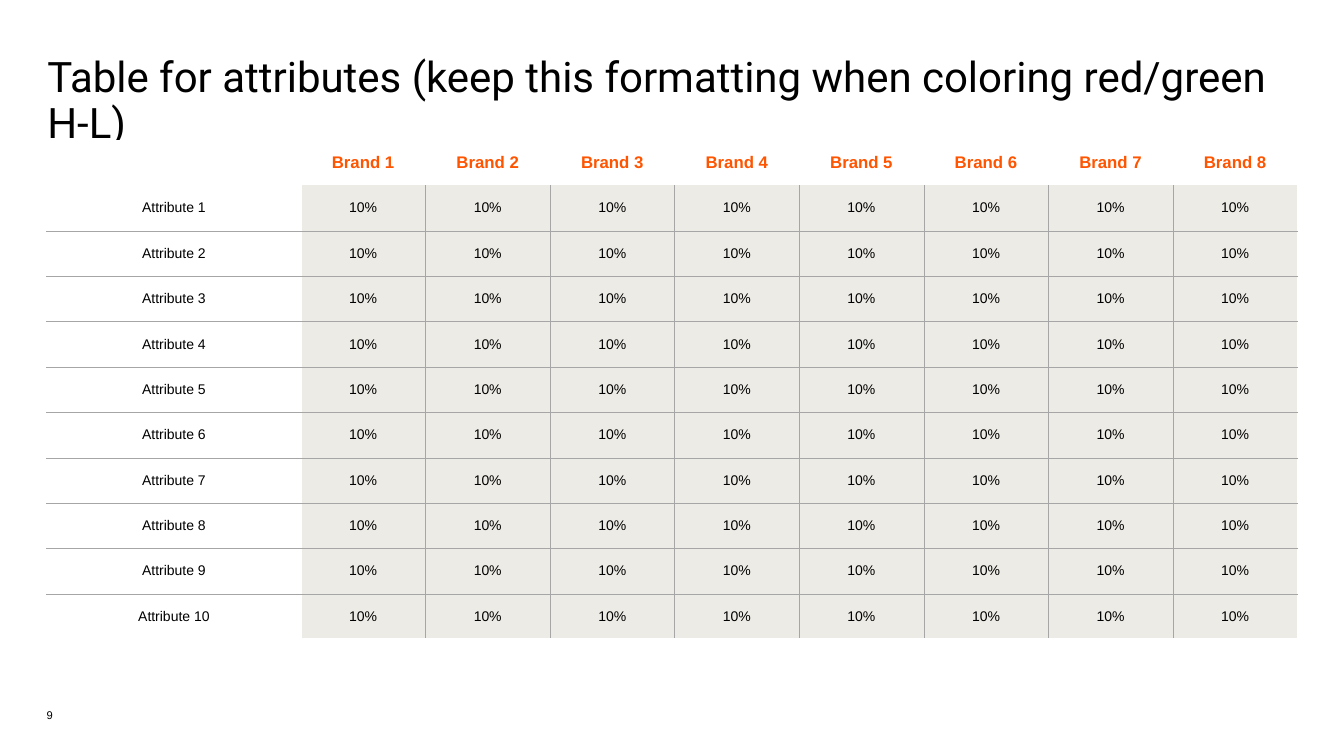
from lxml.etree import SubElement as Sub
from pptx import Presentation
from pptx.dml.color import RGBColor
from pptx.enum.text import MSO_ANCHOR as Anchor, MSO_AUTO_SIZE as Fit, PP_ALIGN as Align
from pptx.oxml.ns import qn
from pptx.util import Pt

BLACK = RGBColor(0x00, 0x00, 0x00)
WHITE = RGBColor(0xFF, 0xFF, 0xFF)
ORANGE = RGBColor(0xFF, 0x54, 0x00)
SAND = RGBColor(0xED, 0xEB, 0xE5)
GRAY = RGBColor(0xA6, 0xA6, 0xA6)

BRANDS = [f"Brand {n}" for n in range(1, 9)]
ROWS = [[f"Attribute {n}"] + ["10%"] * len(BRANDS) for n in range(1, 11)]
LABEL_W, BRAND_W, ROW_H = 181.4, 89, 32.4
PLAIN_STYLE = "{2D5ABB26-0587-4C30-8999-92F81FD0307C}"


def write(frame, text, size, font="Arial", color=BLACK, bold=False,
          align=Align.LEFT, space=None):
    para = frame.paragraphs[0]
    para.alignment = align
    para.line_spacing = space
    run = para.add_run()
    run.text = text
    run.font.name = font
    run.font.size = Pt(size)
    run.font.bold = bold
    run.font.color.rgb = color


def trim(item):
    """Set all four insets of a frame or cell to zero."""
    item.margin_left = item.margin_right = Pt(0)
    item.margin_top = item.margin_bottom = Pt(0)


def edge(cell, side, color, width):
    props = cell._tc.get_or_add_tcPr()
    line = Sub(props, qn(f"a:ln{side}"), w=str(Pt(width)))
    fill = Sub(line, qn("a:solidFill"))
    Sub(fill, qn("a:srgbClr"), val=str(color))


def frame_cell(cell, row, col):
    """Gray rules inside the body, white ones around it."""
    label, last = col == 0, col == len(BRANDS)
    edge(cell, "L", WHITE if col < 2 else GRAY, 1 if label else 0.25)
    edge(cell, "R", WHITE if label or last else GRAY, 1 if last else 0.25)
    if row > 1:
        edge(cell, "T", GRAY, 0.25)
    end = row == len(ROWS)
    edge(cell, "B", WHITE if end else GRAY, 1 if end else 0.25)


def add_title(slide, text):
    title = slide.shapes.title
    title.left, title.top = Pt(33.8), Pt(40.3)
    title.width, title.height = Pt(893), Pt(34.6)
    frame = title.text_frame
    trim(frame)
    frame.word_wrap = True
    frame.auto_size = Fit.NONE
    frame.vertical_anchor = Anchor.TOP
    write(frame, text, 30, font="Roboto", space=0.9)


def add_grid(slide):
    data = [[""] + BRANDS] + ROWS
    width = LABEL_W + BRAND_W * len(BRANDS)
    shape = slide.shapes.add_table(len(data), len(data[0]), Pt(33.5), Pt(100.1),
                                   Pt(width), Pt(ROW_H * len(data)))
    table = shape.table
    table.first_row = table.horz_banding = False
    table._tbl.tblPr.find(qn("a:tableStyleId")).text = PLAIN_STYLE
    for col, column in enumerate(table.columns):
        column.width = Pt(BRAND_W if col else LABEL_W)
    for row, texts in enumerate(data):
        table.rows[row].height = Pt(ROW_H)
        for col, text in enumerate(texts):
            cell = table.cell(row, col)
            trim(cell)
            cell.vertical_anchor = Anchor.MIDDLE
            if row:
                frame_cell(cell, row, col)
            cell.fill.solid()
            cell.fill.fore_color.rgb = SAND if row and col else WHITE
            if text:
                write(cell.text_frame, text, 10 if row else 12, bold=not row,
                      color=BLACK if row else ORANGE, align=Align.CENTER)


def add_number(slide, text):
    box = slide.shapes.add_textbox(Pt(33.4), Pt(506.2), Pt(51), Pt(14.4))
    frame = box.text_frame
    trim(frame)
    frame.word_wrap = True
    write(frame, text, 8)


def main():
    deck = Presentation()
    deck.slide_width, deck.slide_height = Pt(960), Pt(540)
    slide = deck.slides.add_slide(deck.slide_layouts[5])

    # Heading
    add_title(slide, "Table for attributes (keep this formatting when coloring red/green H-L)")
    # Attribute scores by brand
    add_grid(slide)
    # Page number
    add_number(slide, "9")

    deck.save("out.pptx")


if __name__ == "__main__":
    main()
